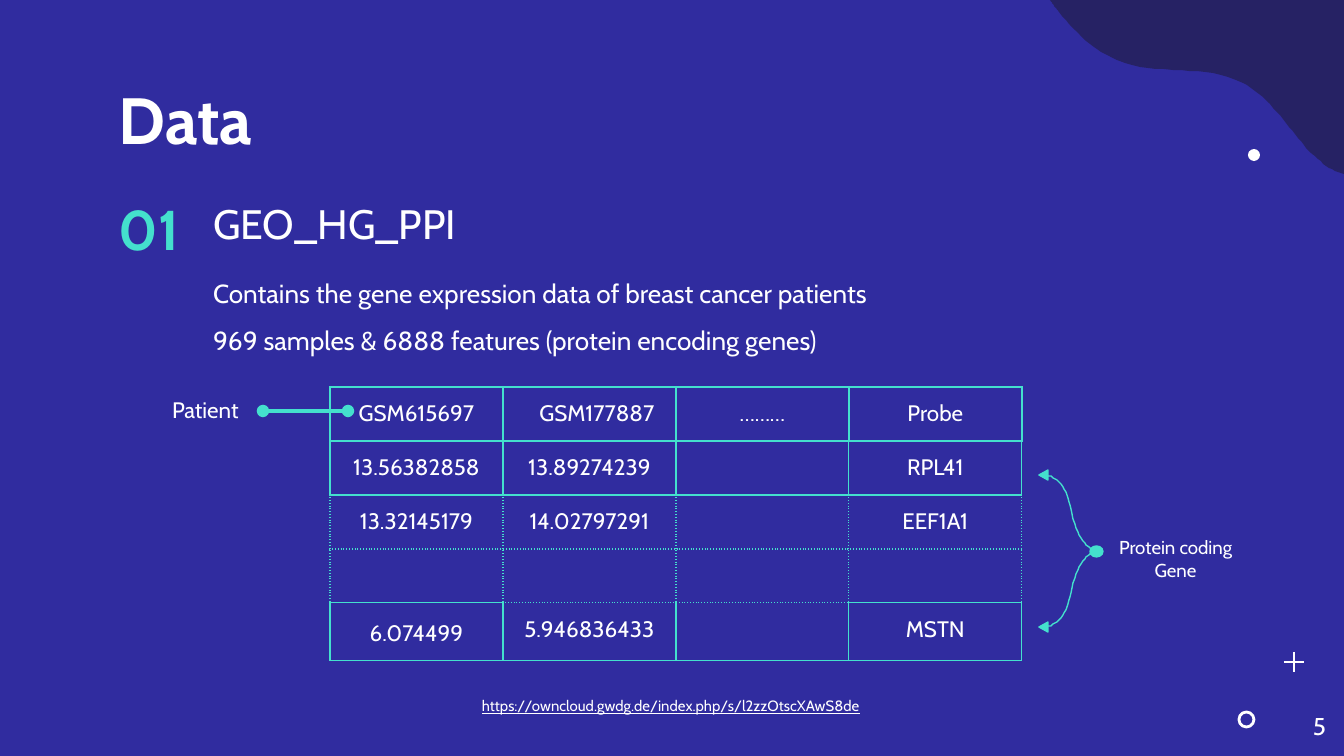
from lxml.etree import SubElement
from pptx import Presentation
from pptx.dml.color import RGBColor
from pptx.enum.shapes import MSO_CONNECTOR as CONN, MSO_SHAPE as SHAPE
from pptx.enum.text import MSO_ANCHOR as ANCHOR, PP_ALIGN as ALIGN
from pptx.oxml.ns import qn
from pptx.util import Pt

PX = 6804  # EMU in one px


class Theme:
    font = "Cabin"
    back = RGBColor.from_string("302C9F")
    dark = RGBColor.from_string("262264")
    teal = RGBColor.from_string("44E0CD")
    white = RGBColor.from_string("FFFFFF")
    title, number, heading, body = 35, 30, 22, 14
    page, cell, label, link = 13, 12, 10, 8
    thin, thick, bar = 0.75, 1.5, 2.25


def write(tf, text, size, color=Theme.white, align=ALIGN.LEFT, bold=False, spacing=None):
    """Fill a text frame and format all of its runs alike."""
    tf.text = text
    for p in tf.paragraphs:
        p.alignment = align
        p.line_spacing = spacing
        for r in p.runs:
            r.font.name, r.font.size, r.font.bold = Theme.font, Pt(size), bold
            r.font.color.rgb = color


def draw_curve(start, curves, corners=(), closed=False):
    """Draw cubic Bezier curves as short segments, followed by straight corners."""
    points, p0 = [], start
    for p1, p2, p3 in curves:
        for step in range(1, 17):
            t = step / 16
            u = 1 - t
            points.append(tuple(
                u**3 * a + 3 * u * u * t * b + 3 * u * t * t * c + t**3 * d
                for a, b, c, d in zip(p0, p1, p2, p3)))
        p0 = p3
    builder = s.shapes.build_freeform(*start, scale=PX)
    builder.add_line_segments(points + list(corners), close=closed)
    sp = builder.convert_to_shape()
    sp.shadow.inherit = False
    return sp


prs = Presentation()
prs.slide_width, prs.slide_height = 1344 * PX, 756 * PX
s = prs.slides.add_slide(prs.slide_layouts[6])
s.background.fill.solid()
s.background.fill.fore_color.rgb = Theme.back

# Corner wave
wave = draw_curve(
    (1050, 0),
    [((1053, 4), (1056, 8), (1059, 12)),
     ((1077, 34), (1095, 51), (1117, 60)),
     ((1157, 77), (1205, 63), (1243, 83)),
     ((1266, 95), (1282, 118), (1298, 138)),
     ((1313, 156), (1328, 170), (1344, 174))],
    corners=[(1344, 0)], closed=True)
wave.fill.solid()
wave.fill.fore_color.rgb = Theme.dark
wave.line.fill.background()

# Text boxes
boxes = [
    (106, 66, 1133, 85, "Data", Theme.title, dict(bold=True)),
    (200, 249, 1039, 94,
     "Contains the gene expression data of breast cancer patients\n"
     "969 samples & 6888 features (protein encoding genes)",
     Theme.body, dict(spacing=1.5)),
    (200, 179, 1039, 82, "GEO_HG_PPI", Theme.heading, {}),
    (106, 190, 94, 85, "01", Theme.number, dict(color=Theme.teal, bold=True)),
    (1258, 698, 81, 58, "5", Theme.page, dict(align=ALIGN.RIGHT)),
    (159, 383, 103, 58, "Patient", Theme.cell, {}),
    (325, 688, 692, 39, "https://owncloud.gwdg.de/index.php/s/l2zzOtscXAwS8de",
     Theme.link, dict(align=ALIGN.CENTER)),
    (1103, 523, 145, 58, "Protein coding Gene", Theme.label, dict(align=ALIGN.CENTER)),
]
for x, y, w, h, text, size, style in boxes:
    tf = s.shapes.add_textbox(x * PX, y * PX, w * PX, h * PX).text_frame
    tf.word_wrap = True
    tf.margin_left = tf.margin_right = tf.margin_top = tf.margin_bottom = 13 * PX
    if size in (Theme.heading, Theme.number):
        tf.vertical_anchor = ANCHOR.BOTTOM
    write(tf, text, size, **style)
    if size == Theme.link:
        tf.paragraphs[0].runs[0].font.underline = True

# Expression table
rows = [
    ["GSM615697", "GSM177887", "………", "Probe"],
    ["13.56382858", "13.89274239", "", "RPL41"],
    ["13.32145179", "14.02797291", "", "EEF1A1"],
    ["", "", "", ""],
    ["6.074499", "5.946836433", "", "MSTN"],
]
thick, thin, dotted = (Theme.thick, "solid"), (Theme.thin, "solid"), (Theme.thin, "sysDot")
row_sides = [thick, thin, dotted, dotted, thin]
row_edges = [thick, thick, thin, dotted, dotted, thin]
table = s.shapes.add_table(5, 4, 330 * PX, 387 * PX, 692 * PX, 274 * PX).table
table.first_row = table.horz_banding = False
for col in table.columns:
    col.width = 173 * PX
for i, values in enumerate(rows):
    table.rows[i].height = (58 if i == 4 else 54) * PX
    for j, value in enumerate(values):
        cell = table.cell(i, j)
        cell.margin_left = cell.margin_right = 13 * PX
        cell.margin_top = cell.margin_bottom = (13 if value else 0) * PX
        spacing = 1.15 if value == "6.074499" else None
        write(cell.text_frame, value, Theme.cell, align=ALIGN.CENTER, spacing=spacing)
        top, bottom = row_edges[i:i + 2]
        if j in (0, 3):  # the outer columns close the dotted block
            top = thin if i == 4 else top
            bottom = thin if i == 3 else bottom
        borders = dict(lnL=row_sides[i], lnR=row_sides[i], lnT=top, lnB=bottom)
        for tag, (width, dash) in borders.items():
            ln = SubElement(cell._tc.get_or_add_tcPr(), qn(f"a:{tag}"), w=str(Pt(width)))
            fill = SubElement(ln, qn("a:solidFill"))
            SubElement(fill, qn("a:srgbClr"), val=str(Theme.teal))
            SubElement(ln, qn("a:prstDash"), val=dash)
        cell.fill.background()
table.cell(0, 1).margin_left = 28 * PX

# Plus sign and patient pointer
lines = [
    (1284, 662, 1304, 662, Theme.white, Theme.thick, False),
    (1294, 652, 1294, 672, Theme.white, Theme.thick, False),
    (348, 411, 263, 411, Theme.teal, Theme.bar, True),
]
for x1, y1, x2, y2, color, width, dot_ends in lines:
    line = s.shapes.add_connector(CONN.STRAIGHT, x1 * PX, y1 * PX, x2 * PX, y2 * PX)
    line.line.color.rgb = color
    line.line.width = Pt(width)
    if dot_ends:
        for tag in ("a:headEnd", "a:tailEnd"):
            SubElement(line.line._get_or_add_ln(), qn(tag), type="oval")
    SubElement(line._element.spPr, qn("a:effectLst"))

# Protein arrows, mirrored about the hub
hub_y = 551
for side in (-1, 1):
    tip_y = hub_y + side * 76
    arm = draw_curve((1044, tip_y), [
        ((1056, tip_y), (1068, hub_y + side * 62), (1071, hub_y + side * 42)),
        ((1077, hub_y + side * 13), (1086, hub_y), (1101, hub_y))])
    arm.fill.background()
    head = draw_curve((1039, tip_y), [], [(1048, tip_y - 5), (1048, tip_y + 5)], closed=True)
    head.fill.solid()
    head.fill.fore_color.rgb = Theme.teal
    for sp in (arm, head):
        sp.line.color.rgb = Theme.teal
        sp.line.width = Pt(Theme.thin)

# Dot, ring and hub
ovals = [
    (1248, 149, 12, 12, Theme.white, None),
    (1239, 712, 15, 15, None, (Theme.white, Theme.thick)),
    (1090, 546, 13, 11, Theme.teal, (Theme.teal, Theme.thin)),
]
for x, y, w, h, fill, outline in ovals:
    sp = s.shapes.add_shape(SHAPE.OVAL, x * PX, y * PX, w * PX, h * PX)
    sp.shadow.inherit = False
    if fill:
        sp.fill.solid()
        sp.fill.fore_color.rgb = fill
    else:
        sp.fill.background()
    if outline:
        sp.line.color.rgb, sp.line.width = outline[0], Pt(outline[1])
    else:
        sp.line.fill.background()

prs.save("out.pptx")
